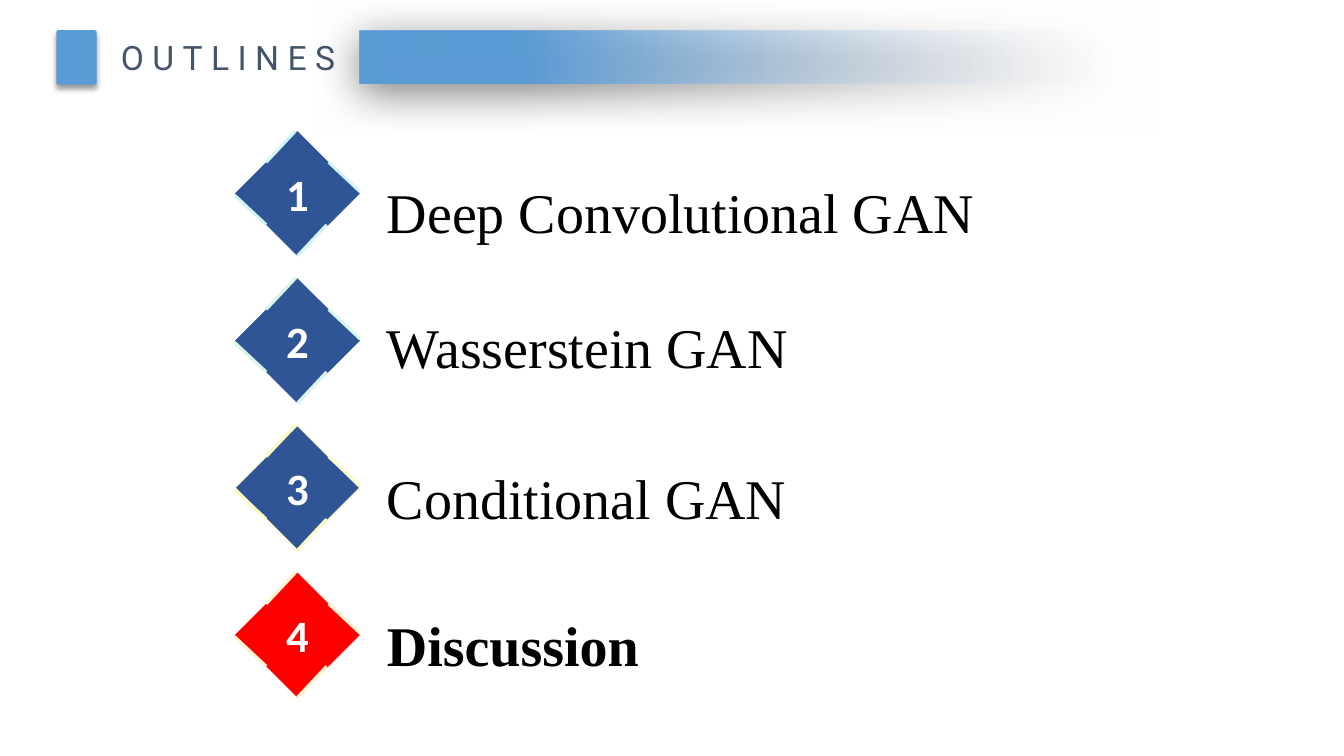
from lxml.etree import SubElement
from pptx import Presentation
from pptx.dml.color import RGBColor
from pptx.enum.shapes import MSO_CONNECTOR as Connector, MSO_SHAPE as Preset
from pptx.enum.text import MSO_ANCHOR as Anchor, MSO_AUTO_SIZE as AutoSize, PP_ALIGN as Align
from pptx.oxml.ns import qn
from pptx.util import Inches, Pt

WHITE = RGBColor(0xFF, 0xFF, 0xFF)
BLACK = RGBColor(0x00, 0x00, 0x00)
SKY = RGBColor(0x5B, 0x9B, 0xD5)
PALE = RGBColor(0xF6, 0xF8, 0xFC)
SLATE = RGBColor(0x44, 0x54, 0x6A)
NAVY = RGBColor(0x2F, 0x55, 0x97)
RED = RGBColor(0xFF, 0x00, 0x00)
AQUA = RGBColor(0xD2, 0xF5, 0xF4)
MINT = RGBColor(0xD9, 0xF6, 0xEA)
LEMON = RGBColor(0xFA, 0xFC, 0xC8)
CREAM = RGBColor(0xFF, 0xF2, 0xD0)

DIAMOND_LEFT, DIAMOND_TOP, DIAMOND_SIZE, DIAMOND_STEP = 2.33, 1.3, 1.24, 1.46
EDGE_LINES = [
    (0.31, 0.31, 0.6, 0),
    (0.62, 1.24, 0.91, 0.93),
    (1.24, 0.6, 0.93, 0.31),
    (0.31, 0.93, 0, 0.64),
]
TOPICS = [
    ("Deep Convolutional GAN", 1.58, NAVY, AQUA, None, False),
    ("Wasserstein GAN", 2.92, NAVY, MINT, None, False),
    ("Conditional GAN", 4.42, NAVY, LEMON, LEMON, False),
    ("Discussion", 5.87, RED, CREAM, None, True),
]


def write(shape, text, font="Times New Roman", size=40, color=BLACK, bold=False,
          align=Align.LEFT, anchor=Anchor.TOP, line_spacing=1.0, spacing=0, wrap=True):
    """Fill a shape with one formatted paragraph."""
    frame = shape.text_frame
    frame.word_wrap = wrap
    frame.auto_size = AutoSize.NONE
    frame.vertical_anchor = anchor
    paragraph = frame.paragraphs[0]
    paragraph.alignment = align
    paragraph.line_spacing = line_spacing
    run = paragraph.add_run()
    run.text = text
    run.font.name = font
    run.font.size = Pt(size)
    run.font.bold = bold
    run.font.color.rgb = color
    if spacing:
        run.font._element.set("spc", str(spacing * 100))


class OutlineSlide:
    """Holds the slide and draws its elements in the outline style."""

    def __init__(self, presentation):
        """Add a slide with only a title."""
        self.slide = presentation.slides.add_slide(presentation.slide_layouts[5])
        self.shapes = self.slide.shapes

    def title(self, text, left, top, width, height):
        """Place the title placeholder."""
        title = self.shapes.title
        title.left, title.top = Inches(left), Inches(top)
        title.width, title.height = Inches(width), Inches(height)
        write(title, text, font="Roboto", size=24, color=SLATE, spacing=6, wrap=False)

    def block(self, preset, left, top, width, height, shadow):
        """Draw a sky blue block with a shadow of (opacity, blur, distance, angle)."""
        shape = self.shapes.add_shape(
            preset, Inches(left), Inches(top), Inches(width), Inches(height))
        shape.fill.solid()
        shape.fill.fore_color.rgb = SKY
        shape.line.fill.background()
        shape.shadow.inherit = False
        opacity, blur, distance, angle = shadow
        effects = shape._element.spPr.find(qn("a:effectLst"))
        outer = SubElement(effects, qn("a:outerShdw"), blurRad=str(Pt(blur)),
                           dist=str(Pt(distance)), dir=str(angle * 60000), rotWithShape="0")
        color = SubElement(outer, qn("a:srgbClr"), val=str(BLACK))
        SubElement(color, qn("a:alpha"), val=str(opacity * 1000))
        return shape

    def fade(self, shape):
        """Fade a block to transparent towards its right end."""
        shape.fill.gradient()
        shape.fill.gradient_angle = 180
        for stop, color, position in zip(shape.fill.gradient_stops, (PALE, SKY), (0, 0.78)):
            stop.color.rgb = color
            stop.position = position
        pale = next(shape._element.spPr.iter(qn("a:srgbClr")))
        SubElement(pale, qn("a:alpha"), val="0")

    def diamond(self, number, left, top, fill, outline):
        """Draw a numbered diamond."""
        half = DIAMOND_SIZE / 2
        corners = [(half, 0), (DIAMOND_SIZE, half), (half, DIAMOND_SIZE), (0, half)]
        points = [(Inches(left + x), Inches(top + y)) for x, y in corners]
        builder = self.shapes.build_freeform(*points[0])
        builder.add_line_segments(points[1:], close=True)
        shape = builder.convert_to_shape()
        shape.fill.solid()
        shape.fill.fore_color.rgb = fill
        if outline:
            shape.line.color.rgb = outline
            shape.line.width = Pt(1)
        else:
            shape.line.fill.background()
        shape.shadow.inherit = False
        write(shape, number, font="Calibri", size=32, color=WHITE, bold=True,
              align=Align.CENTER, anchor=Anchor.MIDDLE)

    def line(self, x1, y1, x2, y2, color):
        """Draw a straight line."""
        connector = self.shapes.add_connector(
            Connector.STRAIGHT, Inches(x1), Inches(y1), Inches(x2), Inches(y2))
        connector.line.color.rgb = color
        connector.line.width = Pt(2.25)
        SubElement(connector._element.spPr, qn("a:effectLst"))

    def label(self, text, left, top, bold):
        """Write a topic name."""
        box = self.shapes.add_textbox(Inches(left), Inches(top), Inches(8.33), Inches(0.96))
        write(box, text, bold=bold, line_spacing=1.2)


def main():
    """Build and save the outline slide."""
    presentation = Presentation()
    presentation.slide_width, presentation.slide_height = Inches(13.33), Inches(7.5)
    outline_slide = OutlineSlide(presentation)
    banner = outline_slide.block(Preset.RECTANGLE, 3.57, 0.3, 7.49, 0.53, (50, 31, 6, 97))
    outline_slide.fade(banner)
    marker = outline_slide.block(Preset.ROUNDED_RECTANGLE, 0.56, 0.3, 0.4, 0.54, (40, 4, 3, 90))
    marker.adjustments[0] = 0.05
    outline_slide.title("OUTLINES", 1.1, 0.32, 2.55, 0.51)
    for index, (topic, label_top, fill, edge, outline, bold) in enumerate(TOPICS):
        top = DIAMOND_TOP + index * DIAMOND_STEP
        outline_slide.diamond(str(index + 1), DIAMOND_LEFT, top, fill, outline)
        for x1, y1, x2, y2 in EDGE_LINES:
            outline_slide.line(DIAMOND_LEFT + x1, top + y1, DIAMOND_LEFT + x2, top + y2, edge)
        outline_slide.label(topic, 3.74, label_top, bold)
    presentation.save("out.pptx")


if __name__ == "__main__":
    main()
